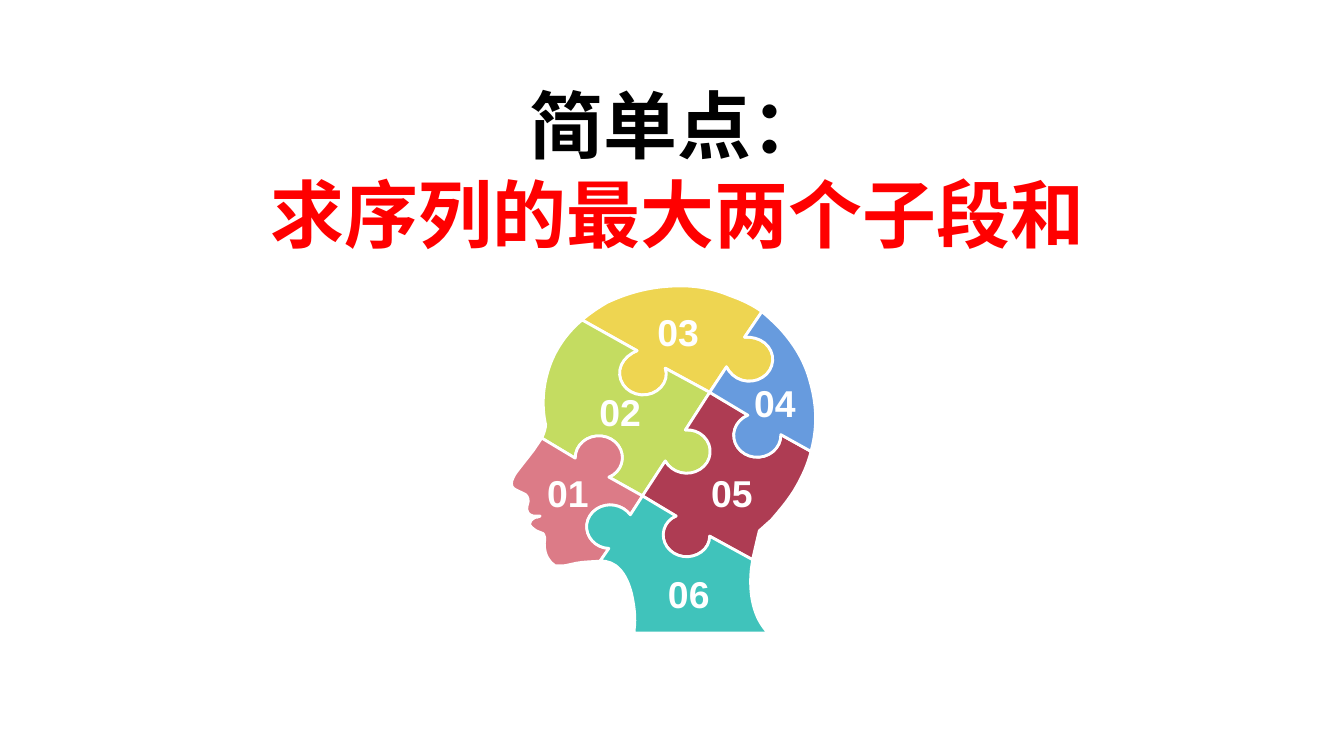
from math import atan2, cos, pi, sin, tan

from pptx import Presentation
from pptx.dml.color import RGBColor
from pptx.enum.text import MSO_ANCHOR, PP_ALIGN
from pptx.oxml.ns import qn
from pptx.util import Pt

BLACK = RGBColor(0x00, 0x00, 0x00)
RED = RGBColor(0xFF, 0x00, 0x00)
WHITE = RGBColor(0xFF, 0xFF, 0xFF)
PINK = RGBColor(0xDC, 0x7B, 0x87)
LIME = RGBColor(0xC4, 0xDC, 0x61)
YELLOW = RGBColor(0xEE, 0xD5, 0x51)
BLUE = RGBColor(0x67, 0x9B, 0xDE)
CRIMSON = RGBColor(0xAE, 0x3C, 0x53)
TEAL = RGBColor(0x40, 0xC3, 0xBB)

prs = Presentation()
prs.slide_width, prs.slide_height = Pt(720), Pt(405)
s = prs.slides.add_slide(prs.slide_layouts[6])


def add_text(lines, left, top, width, height, size, font, colors,
             anchor=MSO_ANCHOR.TOP, top_inset=0, spacing=None):
    """Add a centred bold text box; each line has its own colour."""
    sp = s.shapes.add_textbox(Pt(left), Pt(top), Pt(width), Pt(height))
    tf = sp.text_frame
    tf.word_wrap = True
    tf.vertical_anchor = anchor
    tf.margin_left = tf.margin_right = tf.margin_bottom = 0
    tf.margin_top = Pt(top_inset)
    p = tf.paragraphs[0]
    p.alignment = PP_ALIGN.CENTER
    if spacing:
        p.line_spacing = Pt(spacing)
    for i, (line, color) in enumerate(zip(lines, colors)):
        if i:
            p.add_line_break()
        r = p.add_run()
        r.text = line
        r.font.size, r.font.name, r.font.bold = Pt(size), font, True
        r.font.color.rgb = color


# Title
add_text(["简单点：", "求序列的最大两个子段和"], 133.2, 38.9, 459.4, 80.6,
         39.6, "Times New Roman", [BLACK, RED], top_inset=3.9, spacing=47.5)

# Points where the puzzle pieces meet
UPPER, LOWER = (380.2, 210.2), (344.2, 265.7)
FOREHEAD, NOSE, CHIN = (311.8, 171.4), (290.2, 234.7), (321.5, 300.6)
CROWN, EAR, NAPE = (408.2, 167), (434.5, 241.9), (403.2, 299.9)

# Seams: start, knob entry, knob centre, knob exit, end
seams = {
    "01-02": (NOSE, (308.2, 245.5), (320.8, 245.2), (326.2, 255.6), LOWER),
    "01-06": (LOWER, (337.7, 275.8), (326.9, 282.2), (326.2, 293.8), CHIN),
    "02-03": (FOREHEAD, (341.3, 187.9), (344.5, 199.9), (356.4, 197.3), UPPER),
    "02-05": (LOWER, (356.4, 247), (367.9, 241.9), (367.2, 230.4), UPPER),
    "03-04": (UPPER, (389.2, 196.6), (401.4, 192.6), (398.9, 180.7), CROWN),
    "04-05": (UPPER, (400.7, 222.5), (405.7, 233.3), (418.3, 232.9), EAR),
    "05-06": (LOWER, (362.2, 276.5), (367.9, 286.6), (380.2, 287.3), NAPE),
}

# Outer edges: a start point, then cubic curves of three points each
edges = {
    "crown": [CROWN, (403.2, 163.4), (397.4, 160.6), (391, 158.4),
              (380.9, 154.1), (370.1, 152.6), (358.6, 153.4),
              (347, 154.1), (336.2, 157), (325.4, 162),
              (320.4, 164.9), (316.1, 167.8), FOREHEAD],
    "brow": [FOREHEAD, (302.4, 179.3), (295.9, 189.4), (293, 200.9),
             (290.9, 208.8), (290.2, 218.2), (292.3, 227.5),
             (292.3, 229), (291.6, 231.8), NOSE],
    "face": [NOSE, (288.7, 236.9), (287.3, 239), (285.8, 241.2),
             (280.8, 247.7), (277.2, 252), (275.8, 254.2),
             (274.3, 257), (273.6, 258.5), (274.3, 260.6),
             (275, 262.1), (277.2, 262.8), (280.1, 264.2),
             (282.2, 265), (283, 266.4), (283, 268.6),
             (283, 269.3), (282.2, 270.7), (282.2, 272.9),
             (282.2, 274.3), (283, 275.8), (285.8, 276.5),
             (286.6, 276.5), (288, 276.5), (289.4, 276.5),
             (288, 277.2), (287.3, 277.2), (286.6, 277.2),
             (284.4, 278.6), (283.7, 279.4), (283.7, 280.8),
             (283.7, 281.5), (285.1, 283), (287.3, 284.4),
             (288.7, 285.1), (289.4, 285.1), (290.9, 285.8),
             (291.6, 286.6), (292.3, 288.7), (291.6, 290.9),
             (291.6, 294.5), (292.3, 297.4), (293.8, 299.5),
             (295.2, 301.7), (296.6, 302.4), (297.4, 303.1),
             (298.8, 303.1), (300.2, 303.1), (301.7, 303.1),
             (303.1, 303.1), (305.3, 302.4), (308.9, 301.7),
             (312.5, 301), (316.8, 301), CHIN],
    "neck": [CHIN, (329.8, 300.2), (335.5, 306.7), (338.4, 318.2),
             (339.8, 324.7), (340.6, 331.2), (339.8, 337),
             *[(339.8, 339.1)] * 3, *[(411.5, 339.1)] * 3,
             (403.9, 331.2), (401, 319), (402.5, 304.6),
             (402.5, 303.1), (403.2, 301.7), NAPE],
    "nape": [NAPE, (403.9, 296.6), (404.6, 293.8), (405.4, 290.2),
             *[(406.8, 284.4)] * 3, *[(413.3, 278.6)] * 3,
             (417.6, 273.6), (421.9, 268.6), (425.5, 262.8),
             (429.8, 255.6), (432.7, 249.1), EAR],
    "back": [EAR, (437.8, 229.7), (437.8, 218.2), (434.2, 205.2),
             (431.3, 193.7), (425.5, 184.3), (417.6, 175.7),
             (414.7, 172.8), (411.8, 169.9), CROWN],
}

# Turn each seam into cubics: its knob takes the long way round an ellipse
KNOB_RX, KNOB_RY, KNOB_CURVES = 12.6, 11.7, 5
for name, (start, entry, (cx, cy), leave, end) in seams.items():
    a0, a1 = [atan2((y - cy) / KNOB_RY, (x - cx) / KNOB_RX)
              for x, y in (entry, leave)]
    sweep = (a1 - a0) % (2 * pi)
    if sweep < pi:
        sweep -= 2 * pi
    step = sweep / KNOB_CURVES
    pull = 4 / 3 * tan(step / 4)
    knob = []
    for i in range(KNOB_CURVES):
        a, b = a0 + step * i, a0 + step * (i + 1)
        unit = [(cos(a) - pull * sin(a), sin(a) + pull * cos(a)),
                (cos(b) + pull * sin(b), sin(b) - pull * cos(b)),
                (cos(b), sin(b))]
        knob += [(cx + KNOB_RX * x, cy + KNOB_RY * y) for x, y in unit]
    knob[-1] = leave
    edges[name] = [start, *[entry] * 3, *knob, *[end] * 3]

# Pieces: number, fill, label corner, edges in order (-1 runs backwards)
pieces = [
    ("03", YELLOW, 351.4, 165.6, [("02-03", 1), ("03-04", 1), ("crown", 1)]),
    ("02", LIME, 320.4, 208.8,
     [("01-02", 1), ("02-05", 1), ("02-03", -1), ("brow", 1)]),
    ("01", PINK, 292.3, 252, [("01-06", 1), ("face", -1), ("01-02", 1)]),
    ("05", CRIMSON, 380.2, 252,
     [("05-06", 1), ("nape", 1), ("04-05", -1), ("02-05", -1)]),
    ("06", TEAL, 357.1, 306, [("01-06", 1), ("neck", 1), ("05-06", -1)]),
    ("04", BLUE, 403.2, 203.8, [("04-05", 1), ("back", 1), ("03-04", -1)]),
]
for number, color, left, top, sides in pieces:
    first = edges[sides[0][0]][0]
    pts = [(Pt(x), Pt(y)) for name, order in sides
           for x, y in edges[name][::order][1:]]
    builder = s.shapes.build_freeform(Pt(first[0]), Pt(first[1]))
    builder.add_line_segments(pts, close=True)
    sp = builder.convert_to_shape()
    sp.shadow.inherit = False
    sp.fill.solid()
    sp.fill.fore_color.rgb = color
    sp.line.color.rgb = WHITE
    sp.line.width = Pt(1.5)
    # Join every three points into one cubic curve
    segments = list(sp.element.iter(qn("a:lnTo")))
    for c1, c2, target in zip(*[iter(segments)] * 3):
        target.tag = qn("a:cubicBezTo")
        target.insert(0, c1[0])
        target.insert(1, c2[0])
        for used in (c1, c2):
            used.getparent().remove(used)

# Piece numbers
for number, color, left, top, sides in pieces:
    add_text([number], left, top, 23.8, 23.8, 20, "Arial", [WHITE],
             anchor=MSO_ANCHOR.BOTTOM)

prs.save("out.pptx")
